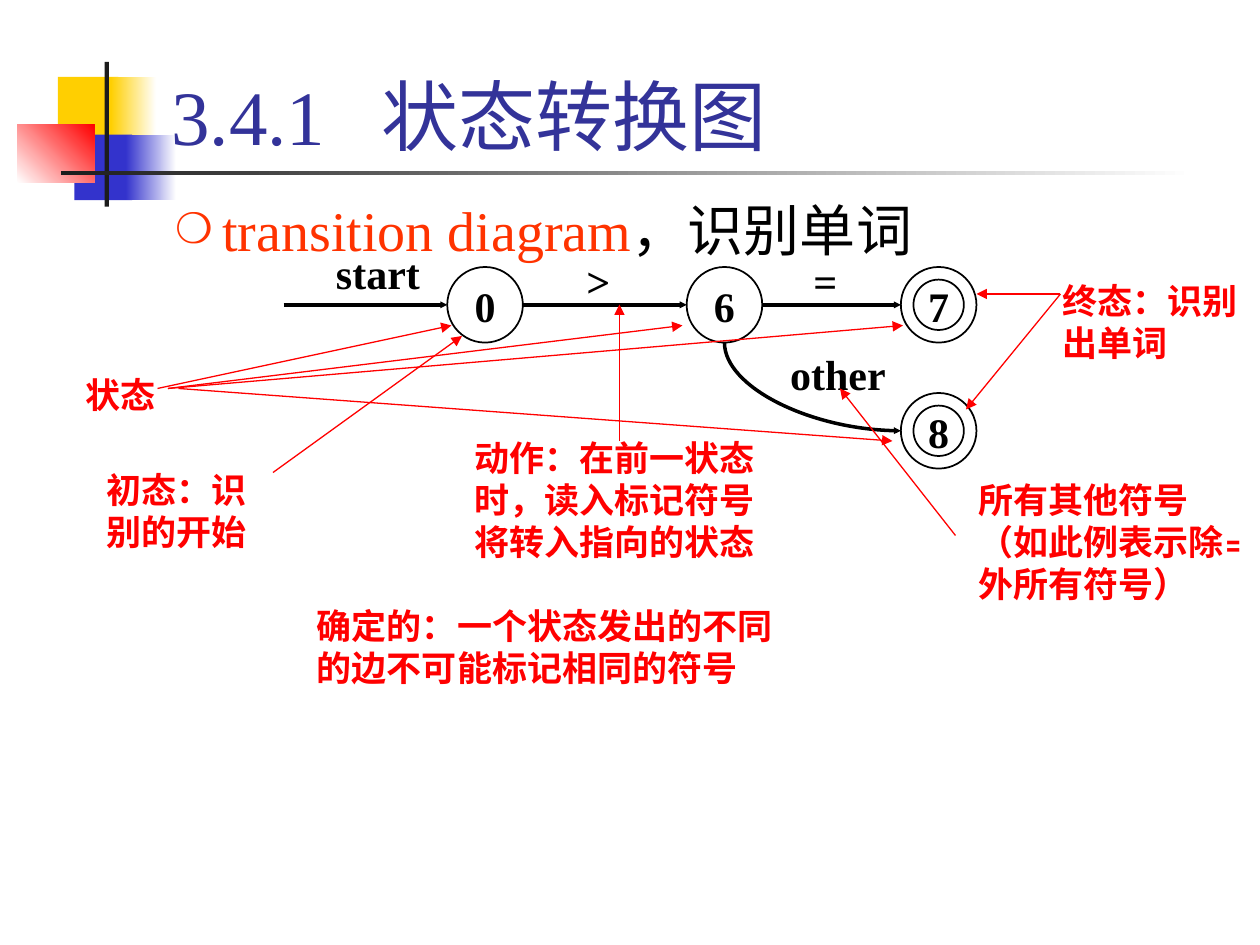
from dataclasses import dataclass

from lxml.etree import SubElement
from pptx import Presentation
from pptx.dml.color import RGBColor
from pptx.enum.shapes import MSO_CONNECTOR, MSO_SHAPE
from pptx.enum.text import MSO_ANCHOR, MSO_AUTO_SIZE, PP_ALIGN
from pptx.oxml.ns import qn
from pptx.util import Pt

COLORS = {
    "yellow": "FFCF01", "blue": "3333CC", "red": "FF0000", "ink": "1C1C1C",
    "white": "FFFFFF", "black": "000000", "title": "333399", "accent": "FF3300",
}
SERIF = "Times New Roman"
SANS = "Karla"
STATE_SIZE = 43.2
RING_SIZE = 28.8
ROW = 174.2
LAST_ROW = 246.2


@dataclass
class Block:
    left: float
    top: float
    width: float
    height: float
    start: str
    end: str = ""
    angle: int = 0


@dataclass
class State:
    name: str
    x: float
    y: float
    final: bool = False


@dataclass
class Label:
    text: str
    left: float
    top: float
    width: float
    height: float


@dataclass
class Arrow:
    x1: float
    y1: float
    x2: float
    y2: float


BLOCKS = [
    Block(33.1, 43.9, 34.6, 37.4, "yellow"),
    Block(63.4, 43.9, 25.9, 37.4, "yellow", "white"),
    Block(42.5, 77, 33.1, 37.4, "blue"),
    Block(72, 77, 28.8, 37.4, "blue", "white"),
    Block(10, 71.3, 44, 33.1, "white", "red", 45),
    Block(59.8, 35.3, 2.4, 82.8, "ink"),
    Block(34.6, 97.9, 648, 2.2, "ink", "white"),
]
STATES = [
    State("0", 277.2, ROW),
    State("6", 414, ROW),
    State("7", 536.4, ROW, True),
    State("8", 536.4, LAST_ROW, True),
]
EDGES = [
    Arrow(162, ROW, 255.6, ROW),
    Arrow(298.8, ROW, 392.4, ROW),
    Arrow(435.6, ROW, 514.8, ROW),
]
EDGE_LABELS = [
    Label("start", 169.2, 138.2, 93.6, 36),
    Label("other", 435.6, 195.8, 86.4, 36),
    Label("=", 435.6, 142.6, 72, 36),
    Label(">", 306, 142.6, 72, 36),
]
NOTES = [
    Label("状态", 42, 210, 60, 31.5),
    Label("动作：在前一状态时，读入标记符号将转入指向的状态", 264, 246, 186, 79),
    Label("初态：识别的开始", 54, 264, 114, 55.5),
    Label("终态：识别出单词", 600, 156, 120, 55.5),
    Label("所有其他符号（如此例表示除=外所有符号）", 552, 270, 168, 79),
    Label("确定的：一个状态发出的不同的边不可能标记相同的符号", 174, 342, 282, 55.5),
]
POINTERS = [
    Arrow(90, 222, 258, 186),
    Arrow(96, 222, 390, 186),
    Arrow(96, 222, 516, 186),
    Arrow(102, 222, 510, 252),
    Arrow(354, 252, 354, 174),
    Arrow(156, 270, 264, 192),
    Arrow(606, 168, 558, 168),
    Arrow(606, 168, 552, 234),
    Arrow(546, 306, 480, 222),
]


def color(name: str) -> RGBColor:
    return RGBColor.from_string(COLORS[name])


def style(font, name: str, size: float, ink: str | None = None, bold: bool = False) -> None:
    font.name, font.size, font.bold = name, Pt(size), bold
    if ink:
        font.color.rgb = color(ink)


def place(shape, left: float, top: float, width: float, height: float) -> None:
    shape.left, shape.top, shape.width, shape.height = map(Pt, (left, top, width, height))


def draw_block(page, block: Block) -> None:
    shape = page.shapes.add_shape(
        MSO_SHAPE.RECTANGLE, Pt(block.left), Pt(block.top), Pt(block.width), Pt(block.height))
    shape.shadow.inherit = False
    shape.line.fill.background()
    if block.end:
        shape.fill.gradient()
        shape.fill.gradient_angle = block.angle
        for stop, name, position in zip(shape.fill.gradient_stops, (block.start, block.end), (0, 1)):
            stop.color.rgb = color(name)
            stop.position = position
    else:
        shape.fill.solid()
        shape.fill.fore_color.rgb = color(block.start)


def draw_circle(page, x: float, y: float, size: float) -> None:
    circle = page.shapes.add_shape(
        MSO_SHAPE.OVAL, Pt(x - size / 2), Pt(y - size / 2), Pt(size), Pt(size))
    circle.shadow.inherit = False
    circle.fill.background()
    circle.line.color.rgb = color("black")
    circle.line.width = Pt(1)


def draw_label(page, label: Label, name: str, size: float, ink: str, align: PP_ALIGN) -> None:
    box = page.shapes.add_textbox(
        Pt(label.left), Pt(label.top), Pt(label.width), Pt(label.height))
    frame = box.text_frame
    frame.word_wrap = True
    frame.auto_size = MSO_AUTO_SIZE.SHAPE_TO_FIT_TEXT
    paragraph = frame.paragraphs[0]
    paragraph.text = label.text
    paragraph.alignment = align
    style(paragraph.font, name, size, ink, True)


def draw_edge_label(page, label: Label) -> None:
    draw_label(page, label, SERIF, 24, "black", PP_ALIGN.CENTER)


def draw_state(page, state: State) -> None:
    draw_circle(page, state.x, state.y, STATE_SIZE)
    if state.final:
        draw_circle(page, state.x, state.y, RING_SIZE)
    draw_edge_label(page, Label(state.name, state.x - RING_SIZE / 2, state.y - 17.2, RING_SIZE, 36))


def draw_arrow(page, arrow: Arrow, ink: str, width: float, head: str,
               kind: MSO_CONNECTOR = MSO_CONNECTOR.STRAIGHT):
    connector = page.shapes.add_connector(
        kind, Pt(arrow.x1), Pt(arrow.y1), Pt(arrow.x2), Pt(arrow.y2))
    connector.line.color.rgb = color(ink)
    connector.line.width = Pt(width)
    properties = connector._element.spPr
    SubElement(properties.find(qn("a:ln")), qn("a:tailEnd"), type="triangle", w=head, len=head)
    SubElement(properties, qn("a:effectLst"))
    return connector


def draw_curve(page) -> None:
    curve = draw_arrow(page, Arrow(489.6, 170.6, 439.2, 271.4), "black", 2, "sm", MSO_CONNECTOR.CURVE)
    properties = curve._element.spPr
    properties.find(qn("a:xfrm")).set("rot", str(270 * 60000))
    properties.find(qn("a:prstGeom")).set("prst", "curvedConnector2")


def fill_title(title) -> None:
    place(title, 90.7, 5.8, 613.4, 90)
    frame = title.text_frame
    frame.auto_size = MSO_AUTO_SIZE.NONE
    frame.vertical_anchor = MSO_ANCHOR.BOTTOM
    paragraph = frame.paragraphs[0]
    paragraph.text = "3.4.1\t状态转换图"
    paragraph.alignment = PP_ALIGN.LEFT
    tabs = SubElement(paragraph._p.get_or_add_pPr(), qn("a:tabLst"))
    SubElement(tabs, qn("a:tab"), pos=str(Pt(120)), algn="l")
    style(paragraph.font, SERIF, 44, "title")


def fill_body(body) -> None:
    place(body, 92.9, 108, 612, 383.8)
    body.text_frame.auto_size = MSO_AUTO_SIZE.NONE
    paragraph = body.text_frame.paragraphs[0]
    paragraph.space_before = Pt(0)
    properties = paragraph._p.get_or_add_pPr()
    properties.set("marL", str(Pt(27)))
    properties.set("indent", str(Pt(-27)))
    bullet_color = SubElement(properties, qn("a:buClr"))
    SubElement(bullet_color, qn("a:srgbClr"), val=COLORS["accent"])
    SubElement(properties, qn("a:buSzPct"), val="75000")
    SubElement(properties, qn("a:buChar"), char="❍")
    style(paragraph.font, SERIF, 32)
    for text, ink in (("transition diagram", "accent"), ("，识别单词", "black")):
        span = paragraph.add_run()
        span.text = text
        span.font.color.rgb = color(ink)


def main() -> None:
    deck = Presentation()
    deck.slide_width, deck.slide_height = Pt(720), Pt(540)
    page = deck.slides.add_slide(deck.slide_layouts[1])
    title, body = page.placeholders
    for block in BLOCKS:
        draw_block(page, block)
    for holder, fill in ((title, fill_title), (body, fill_body)):
        page.shapes._spTree.append(holder._element)
        fill(holder)
    for edge in EDGES:
        draw_arrow(page, edge, "black", 2, "sm")
    draw_curve(page)
    for state in STATES:
        draw_state(page, state)
    for label in EDGE_LABELS:
        draw_edge_label(page, label)
    for note in NOTES:
        draw_label(page, note, SANS, 20, "red", PP_ALIGN.LEFT)
    for pointer in POINTERS:
        draw_arrow(page, pointer, "red", 0.75, "med")
    deck.save("out.pptx")


if __name__ == "__main__":
    main()
